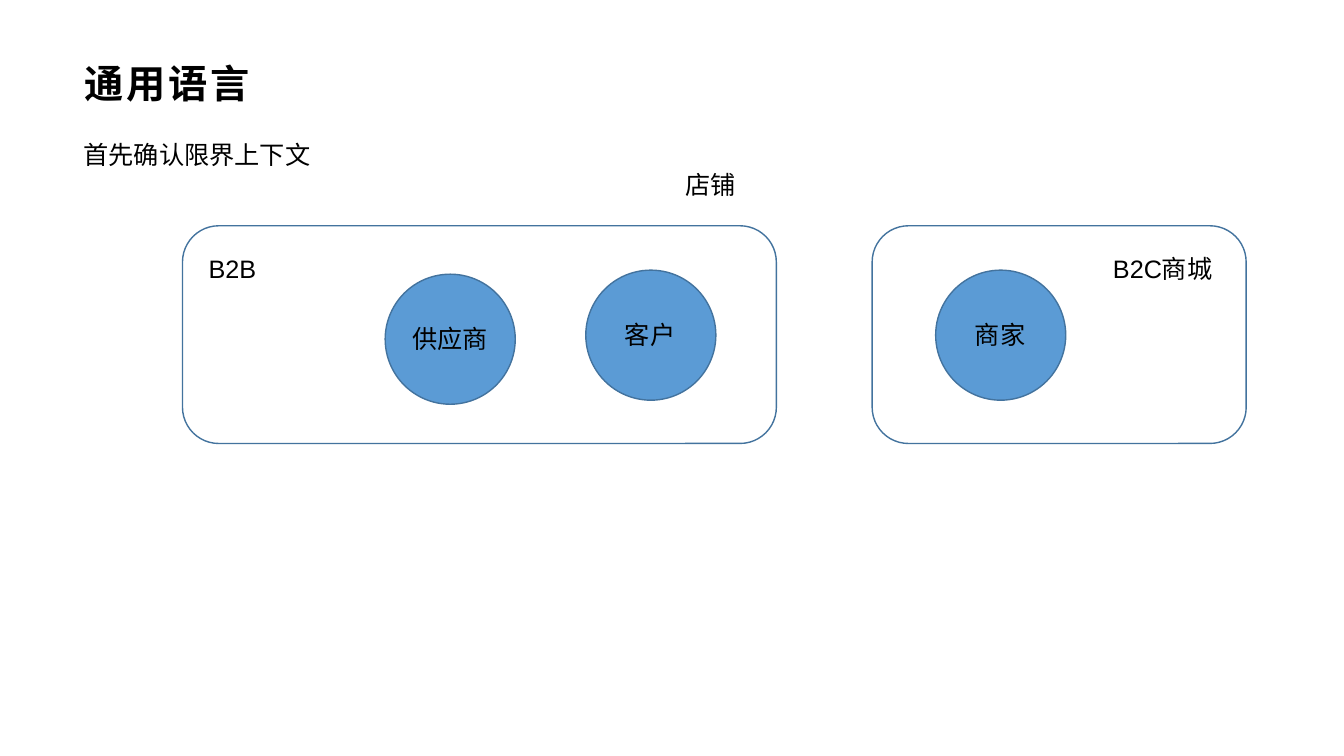
from pptx import Presentation
from pptx.dml.color import RGBColor
from pptx.enum.shapes import MSO_SHAPE
from pptx.enum.text import MSO_ANCHOR, MSO_AUTO_SIZE
from pptx.util import Emu, Pt

EMU_PER_PX = 9144
FONT = "Arial"
COLORS = {"text": "000000", "circle": "5B9BD5", "outline": "43739E"}
LABEL_HEIGHT = 40
CIRCLE_SIZE = 129


def px(length):
    """Turn a length in px into EMU."""
    return Emu(length * EMU_PER_PX)


def add_text(slide, box, text, size=18, bold=False, wrap=False):
    """Place a text box holding one run and return it."""
    shape = slide.shapes.add_textbox(*map(px, box))
    frame = shape.text_frame
    frame.word_wrap = wrap
    frame.auto_size = MSO_AUTO_SIZE.SHAPE_TO_FIT_TEXT
    run = frame.paragraphs[0].add_run()
    run.text = text
    run.font.name = FONT
    run.font.size = Pt(size)
    run.font.bold = bold
    run.font.color.rgb = RGBColor.from_string(COLORS["text"])
    return shape


def add_outlined(slide, kind, box, fill=None):
    """Place a preset shape with the common outline and an optional fill."""
    shape = slide.shapes.add_shape(kind, *map(px, box))
    shape.shadow.inherit = False
    if fill:
        shape.fill.solid()
        shape.fill.fore_color.rgb = RGBColor.from_string(COLORS[fill])
    else:
        shape.fill.background()
    shape.line.color.rgb = RGBColor.from_string(COLORS["outline"])
    shape.line.width = Pt(1)


def add_title(slide, box, text):
    """Place the bold, letter-spaced slide title."""
    frame = add_text(slide, box, text, size=28, bold=True, wrap=True).text_frame
    frame.auto_size = MSO_AUTO_SIZE.NONE
    frame.vertical_anchor = MSO_ANCHOR.MIDDLE
    frame.margin_left, frame.margin_right = px(11), px(8)
    frame.margin_top = frame.margin_bottom = px(4)
    frame.paragraphs[0].runs[0].font._element.set("spc", "200")


def add_role(slide, left, top, text, label_width):
    """Place a role circle with its label centred on it."""
    add_outlined(slide, MSO_SHAPE.OVAL, (left, top, CIRCLE_SIZE, CIRCLE_SIZE), "circle")
    label_left = left + (CIRCLE_SIZE - label_width) // 2
    label_top = top + (CIRCLE_SIZE - LABEL_HEIGHT) // 2
    add_text(slide, (label_left, label_top, label_width, LABEL_HEIGHT), text)


def add_context(slide, box, name, name_left, name_width, roles, wrap=False):
    """Place a bounded context with its name and its role circles."""
    left, top, _, _ = box
    for role_left, role_top, text, label_width in roles:
        add_role(slide, left + role_left, top + role_top, text, label_width)
    add_outlined(slide, MSO_SHAPE.ROUNDED_RECTANGLE, box)
    name_box = (left + name_left, top + 22, name_width, LABEL_HEIGHT)
    add_text(slide, name_box, name, wrap=wrap)


def main():
    """Build the slide and save it."""
    presentation = Presentation()
    presentation.slide_width, presentation.slide_height = px(1333), px(750)
    slide = presentation.slides.add_slide(presentation.slide_layouts[6])
    add_title(slide, (73, 47, 1187, 71), "通用语言")
    add_text(slide, (73, 133, 245, LABEL_HEIGHT), "首先确认限界上下文")
    add_text(slide, (670, 163, 70, LABEL_HEIGHT), "店铺")
    add_context(slide, (181, 224, 589, 216), "B2B", 16, 67,
                [(201, 48, "供应商", 95), (400, 44, "客户", 70)])
    add_context(slide, (865, 224, 371, 216), "B2C商城", 229, 119,
                [(63, 44, "商家", 70)], wrap=True)
    presentation.save("out.pptx")


if __name__ == "__main__":
    main()
